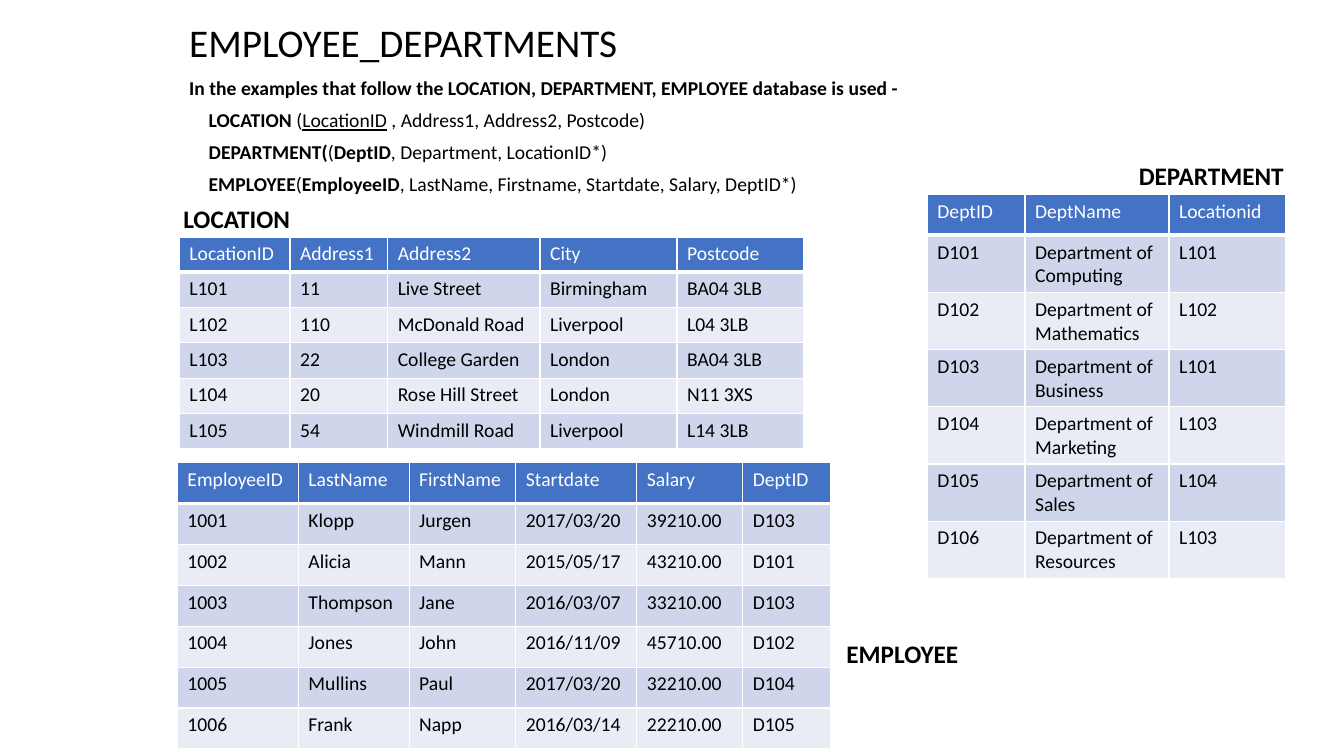
import dataclasses

import lxml.etree
import pptx
import pptx.dml.color
import pptx.enum.text
import pptx.oxml.ns
import pptx.util

Cm = pptx.util.Cm


@dataclasses.dataclass(frozen=True)
class Theme:
    font: str = "Calibri"
    text: str = "000000"
    white: str = "FFFFFF"
    header: str = "4472C4"
    bands: tuple[str, str] = ("CFD5EA", "E9EBF5")
    title_size: int = 28
    label_size: int = 18
    body_size: int = 14
    thin_border: int = 1
    thick_border: int = 3


@dataclasses.dataclass(frozen=True)
class Frame:
    left: float
    top: float
    width: float
    height: float


@dataclasses.dataclass(frozen=True)
class Piece:
    text: str
    bold: bool = False
    underline: bool = False


@dataclasses.dataclass(frozen=True)
class Relation:
    """A database table with the label that names it."""
    label: str
    label_frame: Frame
    left: float
    top: float
    column_widths: tuple[float, ...]
    row_height: float
    rows: tuple[tuple[str, ...], ...]


THEME = Theme()
TITLE_FRAME = Frame(4.52, 0.33, 20.29, 1.45)
SCHEMA_FRAME = Frame(4.52, 1.8, 24.61, 4.27)
SCHEMA_MARGIN, SCHEMA_INDENT = 13.67, -13.18

SCHEMA = (
    (Piece("In the examples that follow the LOCATION, DEPARTMENT, EMPLOYEE database is used -", bold=True),),
    (Piece("LOCATION", bold=True), Piece(" ("), Piece("LocationID", underline=True),
     Piece(" , Address1, Address2, Postcode)")),
    (Piece("DEPARTMENT(", bold=True), Piece("("), Piece("DeptID", bold=True),
     Piece(", Department, LocationID*)")),
    (Piece("EMPLOYEE", bold=True), Piece("("), Piece("EmployeeID", bold=True),
     Piece(", LastName, Firstname, Startdate, Salary, DeptID*)")),
)

RELATIONS = (
    Relation("LOCATION", Frame(4.37, 5.0, 3.23, 1.02), 4.52, 5.97,
             (2.79, 2.46, 3.84, 3.45, 3.2), 0.89, (
                 ("LocationID", "Address1", "Address2", "City", "Postcode"),
                 ("L101", "11", "Live Street", "Birmingham", "BA04 3LB"),
                 ("L102", "110", "McDonald Road", "Liverpool", "L04 3LB"),
                 ("L103", "22", "College Garden", "London", "BA04 3LB"),
                 ("L104", "20", "Rose Hill Street", "London", "N11 3XS"),
                 ("L105", "54", "Windmill Road", "Liverpool", "L14 3LB"))),
    Relation("DEPARTMENT", Frame(28.45, 3.91, 4.19, 1.02), 23.37, 4.9,
             (2.46, 3.63, 2.95), 1.03, (
                 ("DeptID", "DeptName", "Locationid"),
                 ("D101", "Department of Computing", "L101"),
                 ("D102", "Department of Mathematics", "L102"),
                 ("D103", "Department of Business", "L101"),
                 ("D104", "Department of Marketing", "L103"),
                 ("D105", "Department of Sales", "L104"),
                 ("D106", "Department of Resources", "L103"))),
    Relation("EMPLOYEE", Frame(21.08, 15.95, 3.35, 1.02), 4.47, 11.66,
             (3.05, 2.79, 2.69, 3.05, 2.67, 2.21), 1.03, (
                 ("EmployeeID", "LastName", "FirstName", "Startdate", "Salary", "DeptID"),
                 ("1001", "Klopp", "Jurgen", "2017/03/20", "39210.00", "D103"),
                 ("1002", "Alicia", "Mann", "2015/05/17", "43210.00", "D101"),
                 ("1003", "Thompson", "Jane", "2016/03/07", "33210.00", "D103"),
                 ("1004", "Jones", "John", "2016/11/09", "45710.00", "D102"),
                 ("1005", "Mullins", "Paul", "2017/03/20", "32210.00", "D104"),
                 ("1006", "Frank", "Napp", "2016/03/14", "22210.00", "D105"))),
)


def rgb(value: str) -> pptx.dml.color.RGBColor:
    return pptx.dml.color.RGBColor.from_string(value)


def style_span(span, size: int, color: str, bold: bool = False, underline: bool = False) -> None:
    span.font.name = THEME.font
    span.font.size = pptx.util.Pt(size)
    span.font.color.rgb = rgb(color)
    span.font.bold = bold
    span.font.underline = underline


def add_box(page, frame: Frame, wrap: bool = True):
    box = page.shapes.add_textbox(Cm(frame.left), Cm(frame.top), Cm(frame.width), Cm(frame.height))
    box.text_frame.word_wrap = wrap
    return box.text_frame


def add_line(page, frame: Frame, text: str, size: int, bold: bool = False, wrap: bool = True) -> None:
    """Add a box with one line of text, centred vertically."""
    text_frame = add_box(page, frame, wrap)
    text_frame.vertical_anchor = pptx.enum.text.MSO_ANCHOR.MIDDLE
    text_frame.text = text
    style_span(text_frame.paragraphs[0].runs[0], size, THEME.text, bold)


def add_schema(page) -> None:
    text_frame = add_box(page, SCHEMA_FRAME)
    for index, pieces in enumerate(SCHEMA):
        para = text_frame.add_paragraph() if index else text_frame.paragraphs[0]
        para.space_after = pptx.util.Pt(6)
        if index:
            properties = para._p.get_or_add_pPr()
            properties.set("marL", str(Cm(SCHEMA_MARGIN)))
            properties.set("indent", str(Cm(SCHEMA_INDENT)))
        for piece in pieces:
            span = para.add_run()
            span.text = piece.text
            style_span(span, THEME.body_size, THEME.text, piece.bold, piece.underline)


def add_borders(cell, bottom_width: int) -> None:
    qn = pptx.oxml.ns.qn
    properties = cell._tc.get_or_add_tcPr()
    for side in "LRTB":
        width = bottom_width if side == "B" else THEME.thin_border
        line = lxml.etree.SubElement(properties, qn(f"a:ln{side}"), w=str(pptx.util.Pt(width)))
        fill = lxml.etree.SubElement(line, qn("a:solidFill"))
        lxml.etree.SubElement(fill, qn("a:srgbClr"), val=THEME.white)


def fill_cell(cell, text: str, row_index: int) -> None:
    is_header = row_index == 0
    add_borders(cell, THEME.thick_border if is_header else THEME.thin_border)
    cell.fill.solid()
    cell.fill.fore_color.rgb = rgb(THEME.header if is_header else THEME.bands[(row_index - 1) % 2])
    cell.text_frame.text = text
    style_span(cell.text_frame.paragraphs[0].runs[0], THEME.body_size,
               THEME.white if is_header else THEME.text)


def add_relation(page, relation: Relation) -> None:
    row_count = len(relation.rows)
    table = page.shapes.add_table(
        row_count, len(relation.column_widths), Cm(relation.left), Cm(relation.top),
        Cm(sum(relation.column_widths)), Cm(relation.row_height * row_count)).table
    table.first_row = False
    table.horz_banding = False
    for column, width in zip(table.columns, relation.column_widths):
        column.width = Cm(width)
    for row_index, values in enumerate(relation.rows):
        table.rows[row_index].height = Cm(relation.row_height)
        for column_index, value in enumerate(values):
            fill_cell(table.cell(row_index, column_index), value, row_index)
    add_line(page, relation.label_frame, relation.label, THEME.label_size, bold=True, wrap=False)


def main() -> None:
    deck = pptx.Presentation()
    deck.slide_width, deck.slide_height = Cm(33.87), Cm(19.05)
    page = deck.slides.add_slide(deck.slide_layouts[6])
    add_schema(page)
    add_line(page, TITLE_FRAME, "EMPLOYEE_DEPARTMENTS", THEME.title_size)
    for relation in RELATIONS:
        add_relation(page, relation)
    deck.save("out.pptx")


if __name__ == "__main__":
    main()
